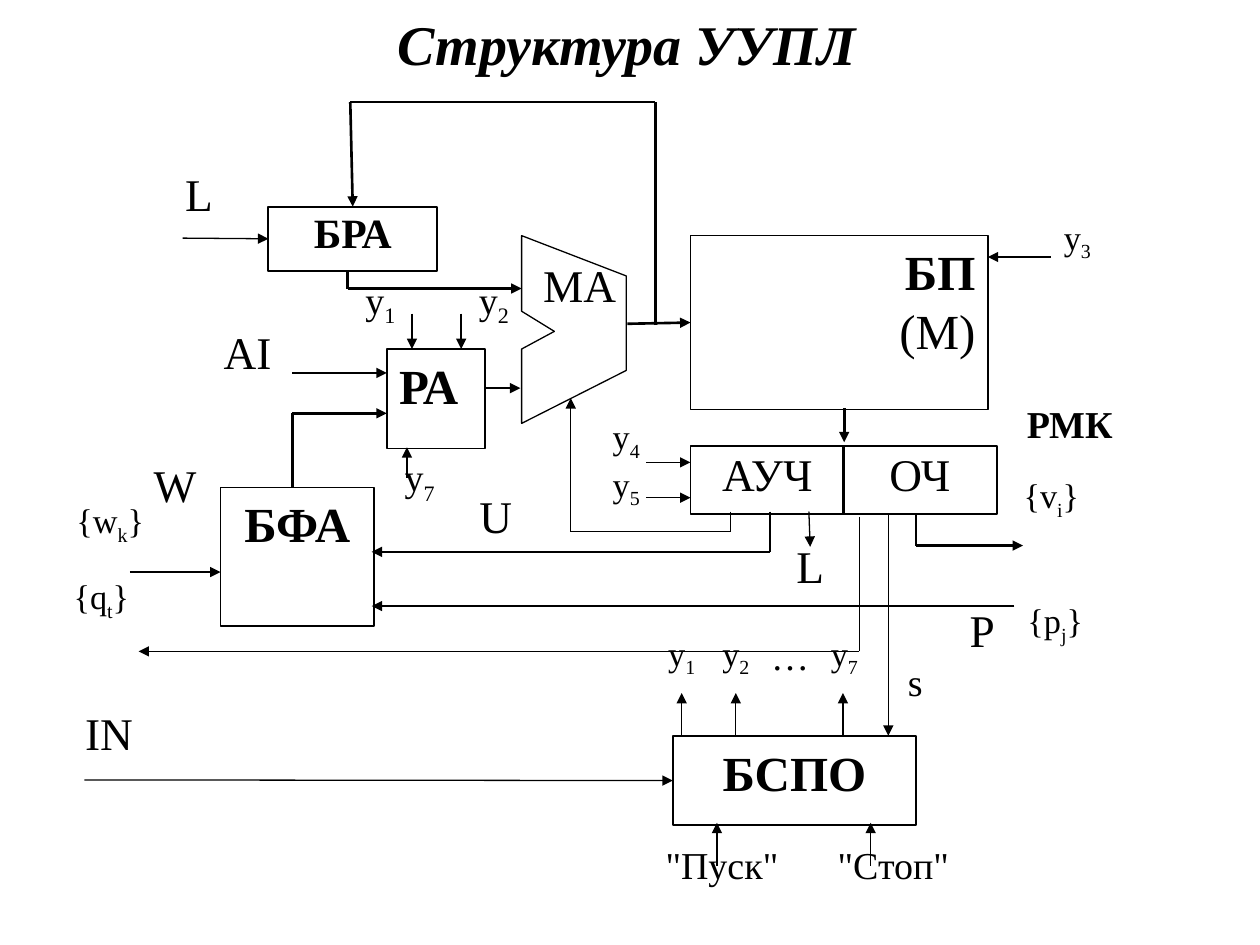
from itertools import pairwise

from lxml import etree
from pptx import Presentation
from pptx.dml.color import RGBColor
from pptx.enum.shapes import MSO_CONNECTOR, MSO_SHAPE
from pptx.enum.text import MSO_ANCHOR, MSO_AUTO_SIZE, PP_ALIGN
from pptx.oxml.ns import qn
from pptx.util import Cm, Pt

RECTANGLE, STRAIGHT = MSO_SHAPE.RECTANGLE, MSO_CONNECTOR.STRAIGHT
TOP, MIDDLE = MSO_ANCHOR.TOP, MSO_ANCHOR.MIDDLE
LEFT, CENTER, RIGHT = PP_ALIGN.LEFT, PP_ALIGN.CENTER, PP_ALIGN.RIGHT
TOP_SIDE, LEFT_SIDE = 0, 1

THEME = {
    "font": "Times New Roman",
    "ink": RGBColor(0, 0, 0),
    "thin": 0.75, "outline": 1, "thick": 1.5,
    # text style: (size in points, line spacing)
    "title": (32, 1), "block": (28, 1), "bus": (25.9, 0.9),
    "register": (23.8, 0.9), "signal": (21.7, 0.8), "index": (19.6, 0.8),
}

# All places below are in units of one inch.
UNIT_CM = 2.54
SLIDE_SIZE = (10, 7.5)
TITLE = ("Структура УУПЛ", (1.04, 0, 7.87, 0.68))

# name: (place, text style, alignment, [(line, bold)])
BLOCKS = {
    "БП": ((5.48, 1.87, 2.36, 1.38), "block", RIGHT, [("БП", True), ("(M)", False)]),
    "АУЧ": ((5.48, 3.54, 1.22, 0.54), "bus", CENTER, [("АУЧ", False)]),
    "ОЧ": ((6.69, 3.54, 1.22, 0.54), "bus", CENTER, [("ОЧ", False)]),
    "БФА": ((1.75, 3.87, 1.22, 1.1), "block", CENTER, [("БФА", True)]),
    "БСПО": ((5.34, 5.84, 1.93, 0.71), "block", CENTER, [("БСПО", True)]),
    "БРА": ((2.13, 1.64, 1.34, 0.51), "register", CENTER, [("БРА", True)]),
    "РА": ((3.07, 2.77, 0.78, 0.79), "block", LEFT, [("РА", True)]),
}

MULTIPLEXER = [(4.14, 1.87), (4.97, 2.19), (4.97, 2.94), (4.14, 3.36),
               (4.14, 2.77), (4.4, 2.63), (4.14, 2.47)]

# (text with |subscript|, left, top, width, text style, bold)
LABELS = [
    ("{w|k|}", 0.34, 3.95, 1.07, "index", False),
    ("{q|t|}", 0.27, 4.55, 1.07, "index", False),
    ("{v|i|}", 7.81, 3.75, 1.07, "index", False),
    ("{p|j|}", 7.84, 4.74, 1.07, "index", False),
    ("y|1|", 5.05, 5, 0.72, "index", False),
    ("y|2|", 5.48, 5, 0.72, "index", False),
    ("…", 5.91, 5.04, 0.72, "signal", False),
    ("y|7|", 6.34, 5, 0.72, "index", False),
    ("y|4|", 4.61, 3.28, 0.72, "index", False),
    ("y|5|", 4.61, 3.66, 0.72, "index", False),
    ("y|3|", 8.19, 1.7, 0.72, "index", False),
    ("y|1|", 2.53, 2.18, 0.98, "signal", False),
    ("y|2|", 3.43, 2.18, 0.98, "signal", False),
    ("y|7|", 2.84, 3.59, 0.98, "signal", False),
    ("s", 6.91, 5.25, 0.71, "signal", False),
    ("\"Пуск\"", 4.98, 6.7, 1.5, "signal", False),
    ("\"Стоп\"", 6.34, 6.7, 1.5, "signal", False),
    ("РМК", 7.92, 3.2, 1.14, "signal", True),
    ("W", 1.03, 3.63, 0.72, "bus", False),
    ("U", 3.58, 3.87, 0.71, "bus", False),
    ("P", 7.44, 4.78, 0.71, "bus", False),
    ("IN", 0.51, 5.6, 0.71, "bus", False),
    ("MA", 4.1, 2.04, 1, "bus", False),
    ("L", 6.07, 4.27, 0.72, "bus", False),
    ("L", 1.22, 1.32, 0.72, "bus", False),
    ("АI", 1.61, 2.57, 0.71, "bus", False),
]
LABEL_HEIGHT = 0.52

# (weight, corner points, block side joined by the arrowhead)
WIRES = [
    ("thick", [(6.7, 3.24), (6.7, 3.51)], None),
    ("thick", [(4.98, 2.57), (5.48, 2.57)], ("БП", LEFT_SIDE)),
    ("thick", [(5.2, 2.58), (5.2, 0.81), (2.78, 0.81), (2.8, 1.64)], ("БРА", TOP_SIDE)),
    ("thick", [(3.86, 3.08), (4.13, 3.08)], None),
    ("thick", [(2.32, 3.87), (2.32, 3.28), (3.07, 3.28)], None),
    ("thick", [(2.32, 2.96), (3.07, 2.96)], None),
    ("thick", [(6.11, 4.06), (6.11, 4.38), (2.95, 4.38)], None),
    ("thick", [(7.27, 4.08), (7.27, 4.33), (8.12, 4.33)], None),
    ("thick", [(8.05, 4.81), (2.95, 4.81)], None),
    ("thick", [(2.76, 2.15), (2.76, 2.29), (4.14, 2.29)], None),
    ("thin", [(1.03, 4.54), (1.75, 4.54)], None),
    ("thin", [(7.05, 4.08), (7.05, 5.84)], None),
    ("thin", [(6.82, 4.1), (6.82, 5.17), (1.1, 5.17)], None),
    ("thin", [(5.13, 3.67), (5.48, 3.67)], None),
    ("thin", [(5.13, 3.95), (5.48, 3.95)], None),
    ("thin", [(8.34, 2.04), (7.84, 2.04)], None),
    ("thin", [(0.67, 6.19), (5.34, 6.2)], ("БСПО", LEFT_SIDE)),
    ("thin", [(1.45, 1.89), (2.13, 1.89)], ("БРА", LEFT_SIDE)),
    ("thin", [(5.8, 4.06), (5.8, 4.22), (4.53, 4.22), (4.53, 3.16)], None),
    ("thin", [(6.42, 4.06), (6.43, 4.34)], None),
    ("thin", [(3.23, 3.79), (3.23, 3.55)], None),
    *[("thin", [(x, 5.84), (x, 5.5)], None) for x in (5.41, 5.84, 6.69)],
    *[("thin", [(x, 6.87), (x, 6.53)], None) for x in (5.69, 6.91)],
    *[("thin", [(x, 2.49), (x, 2.77)], None) for x in (3.27, 3.66)],
]


def lengths(values):
    return [Cm(value * UNIT_CM) for value in values]


def write(paragraph, text, style, bold=False, italic=False, alignment=CENTER):
    """Fill a paragraph; pieces between bars become subscripts."""
    size, paragraph.line_spacing = THEME[style]
    paragraph.alignment = alignment
    for index, piece in enumerate(text.split("|")):
        if not piece:
            continue
        run = paragraph.add_run()
        run.text = piece
        font = run.font
        font.name, font.size = THEME["font"], Pt(size)
        font.bold, font.italic = bold, italic
        font.color.rgb = THEME["ink"]
        if index % 2:
            font._element.set("baseline", "-25000")


def prepare_frame(shape, anchor=TOP):
    frame = shape.text_frame
    frame.word_wrap = True
    frame.auto_size = MSO_AUTO_SIZE.NONE
    frame.vertical_anchor = anchor
    return frame


def set_outline(shape, weight):
    shape.line.color.rgb = THEME["ink"]
    shape.line.width = Pt(THEME[weight])


def make_hollow(shape, weight):
    shape.shadow.inherit = False
    shape.fill.background()
    set_outline(shape, weight)


def add_block(slide, place, style, alignment, lines):
    shape = slide.shapes.add_shape(RECTANGLE, *lengths(place))
    make_hollow(shape, "outline")
    frame = prepare_frame(shape)
    for index, (text, bold) in enumerate(lines):
        paragraph = frame.add_paragraph() if index else frame.paragraphs[0]
        write(paragraph, text, style, bold, alignment=alignment)
    return shape


def add_wire(slide, weight, points, target, blocks):
    """Draw one connector per leg, with an arrowhead on the last."""
    for start, end in pairwise(points):
        connector = slide.shapes.add_connector(STRAIGHT, *lengths(start + end))
        set_outline(connector, weight)
        etree.SubElement(connector._element.spPr, qn("a:effectLst"))
    etree.SubElement(connector.line._get_or_add_ln(), qn("a:tailEnd"), type="triangle")
    if target:
        name, side = target
        connector.end_connect(blocks[name], side)


def main():
    presentation = Presentation()
    presentation.slide_width, presentation.slide_height = lengths(SLIDE_SIZE)
    slide = presentation.slides.add_slide(presentation.slide_layouts[5])

    text, place = TITLE
    title = slide.shapes.title
    title.left, title.top, title.width, title.height = lengths(place)
    write(prepare_frame(title, MIDDLE).paragraphs[0], text, "title", True, True)

    blocks = {name: add_block(slide, *block) for name, block in BLOCKS.items()}

    corners = [lengths(point) for point in MULTIPLEXER]
    builder = slide.shapes.build_freeform(*corners[0])
    builder.add_line_segments(corners[1:], close=True)
    make_hollow(builder.convert_to_shape(), "thin")

    for wire in WIRES:
        add_wire(slide, *wire, blocks)

    for text, left, top, width, style, bold in LABELS:
        label = slide.shapes.add_textbox(*lengths((left, top, width, LABEL_HEIGHT)))
        write(prepare_frame(label).paragraphs[0], text, style, bold)

    presentation.save("out.pptx")


if __name__ == "__main__":
    main()
